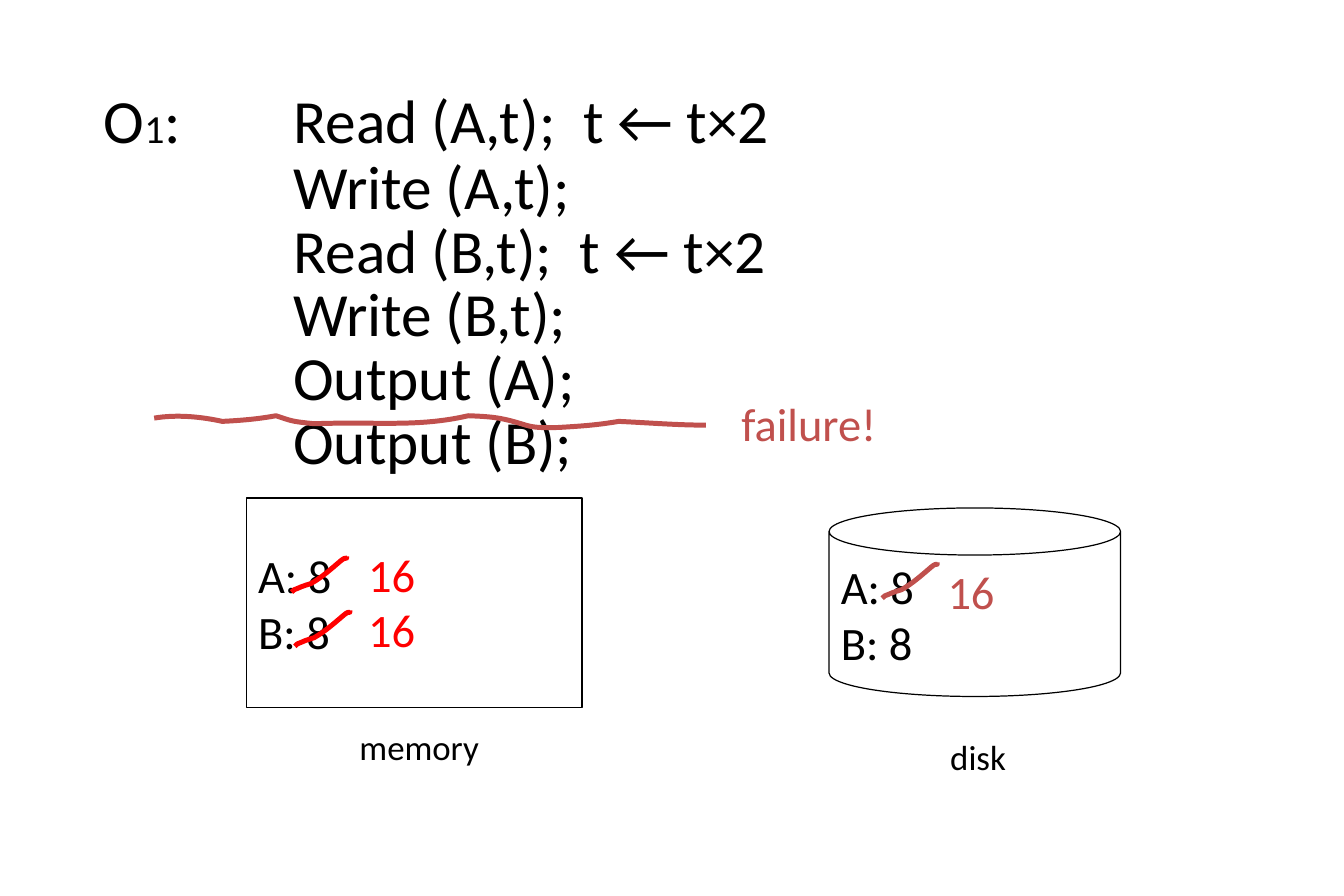
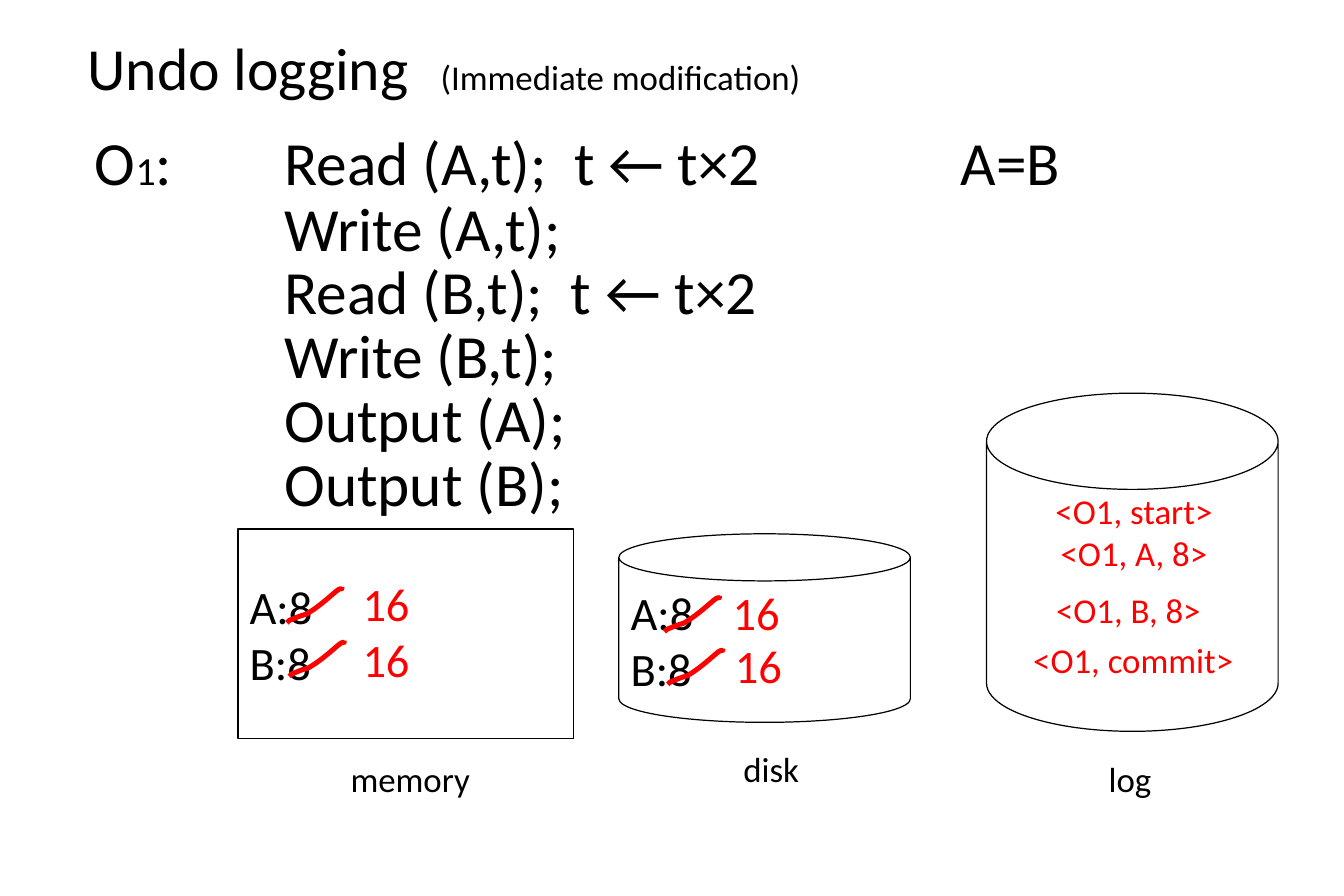
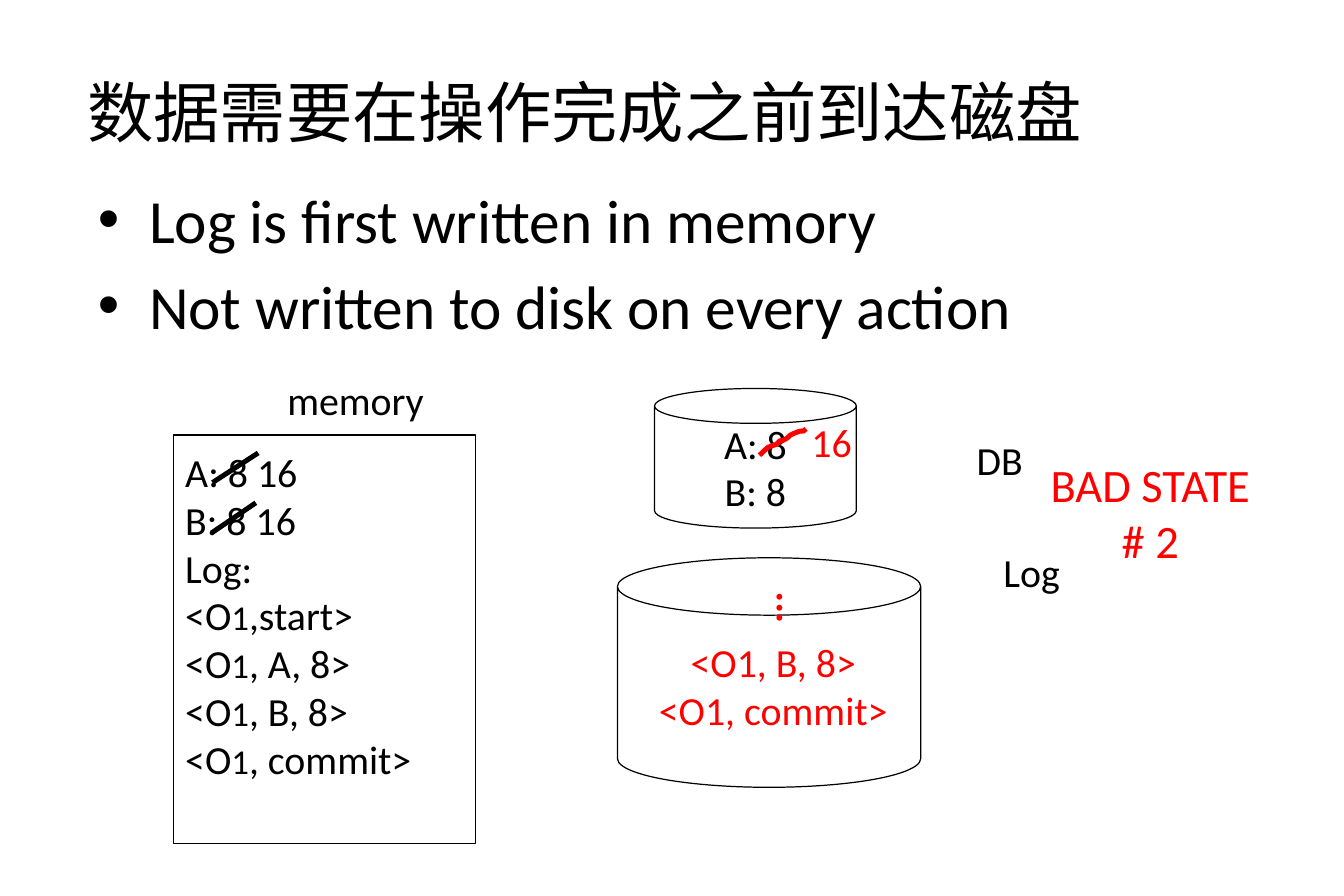
import pptx
import pptx.util
import pptx.dml.color
import pptx.enum.shapes
import pptx.enum.text
import pptx.oxml.ns
from dataclasses import dataclass
from typing import Any
from lxml import etree

Cm = pptx.util.Cm
Pt = pptx.util.Pt
RGB = pptx.dml.color.RGBColor
Kind = pptx.enum.shapes.MSO_SHAPE
Align = pptx.enum.text.PP_ALIGN
Anchor = pptx.enum.text.MSO_ANCHOR
qn = pptx.oxml.ns.qn

BLACK = RGB(0x00, 0x00, 0x00)
WHITE = RGB(0xFF, 0xFF, 0xFF)
RED = RGB(0xFF, 0x00, 0x00)
BRICK = RGB(0xC0, 0x50, 0x4D)

LATIN = "Calibri"
HAN = "Noto Sans CJK SC"
MARK = "~"  # pairs of marks enclose small text

Point = tuple[float, float]


@dataclass
class Look:
    size: float = 28
    color: RGB = BLACK
    align: Any = Align.LEFT
    anchor: Any = Anchor.MIDDLE
    face: str = LATIN
    small: float = 21
    bold: bool = False
    lead: tuple[float, float] = (1, 1)  # first line, other lines
    gaps: tuple[float, ...] = ()  # space before each line
    stops: tuple[float, ...] = ()  # tab stops
    bullet: bool = False
    inset: Point = (0.25, 0.13)


@dataclass
class Box:
    x: float
    y: float
    w: float
    h: float
    lines: tuple[str, ...] = ()
    look: Look = None
    turn: float = 0


@dataclass
class Body(Box):
    kind: Any = Kind.RECTANGLE
    adj: float = 0.25


@dataclass
class Curve:
    x: float
    y: float
    nodes: tuple[Point, ...]
    color: RGB = RED


# Text styles
WIDE = (0.3, 0.15)
CELL = Look()
NAME = Look(21, align=Align.CENTER)
NEW = Look(28, RED, Align.CENTER)
FAIL = Look(28, BRICK, Align.CENTER)
LOG = Look(21, RED, Align.CENTER)
CODE = Look(37, anchor=Anchor.TOP, small=24, lead=(0.8, 0.7),
            gaps=(0,) + (7.4,) * 5, stops=(4.03, 18.41), inset=WIDE)
HEAD = Look(36, stops=(7.51,))
HEAD_HAN = Look(40, face=HAN, inset=WIDE)
BULLET = Look(37, anchor=Anchor.TOP, small=24, gaps=(0, 7.4, 7.4, 4.8, 38.9),
              stops=(4.03, 18.69, 19.26), bullet=True, inset=WIDE)
STATE = Look(24, anchor=Anchor.TOP, inset=(0.25, 0.27))
MID = Look(24, align=Align.CENTER)
MID_RED = Look(24, RED, Align.CENTER)
DOTS = Look(24, RED, Align.CENTER, bold=True)

# Pen strokes: a start, then three points for each cubic curve
STRIKE = ((0, 0.79), (0.03, 0.76), (0.08, 0.71), (0.13, 0.71),
          (0.23, 0.66), (0.41, 0.61), (0.41, 0.61),
          (0.64, 0.48), (0.84, 0.3), (1.04, 0.13),
          (1.19, 0), (1.17, 0.13), (1.17, 0.03))
SCRATCH = ((0, 0.61), (0.25, 0.38), (0.13, 0.46), (0.36, 0.38),
           (0.56, 0.18), (0.3, 0.41), (0.58, 0.25),
           (0.61, 0.23), (0.64, 0.2), (0.66, 0.18),
           (1.04, 0), (0.84, 0.18), (0.99, 0.05))
WAVE = ((0, 0.08), (0.48, 0), (0.99, 0.05), (1.45, 0.15),
        (1.85, 0.13), (2.21, 0.1), (2.59, 0.03),
        (2.95, 0.15), (2.92, 0.15), (3.4, 0.2),
        (4.75, 0.15), (5.59, 0.28), (6.68, 0.03),
        (7.24, 0.05), (7.42, 0.08), (7.9, 0.23),
        (8.13, 0.3), (8.36, 0.28), (8.59, 0.28),
        (9.09, 0.25), (9.4, 0.23), (9.88, 0.15),
        (10.52, 0.18), (11.13, 0.23), (11.73, 0.23))

FIRST = "O~1~:\tRead (A,t);  t ← t×2"
REST = (
    "\tWrite (A,t);",
    "\tRead (B,t);  t ← t×2",
    "\tWrite (B,t);",
    "\tOutput (A);",
    "\tOutput (B);",
)


def apply(item: Any, fmt: dict[str, Any]) -> None:
    for key, val in fmt.items():
        setattr(item, key, val)


def layout(para: Any, look: Look, tabbed: bool) -> None:
    """Give a paragraph its bullet or its tab stops."""
    props = para._p.get_or_add_pPr()
    if look.bullet and not tabbed:
        props.set("marL", str(Cm(1.09)))
        props.set("indent", str(-Cm(1.09)))
        etree.SubElement(props, qn("a:buFont")).set("typeface", "Arial")
        etree.SubElement(props, qn("a:buChar")).set("char", "•")
    elif tabbed:
        stops = etree.SubElement(props, qn("a:tabLst"))
        for pos in look.stops:
            stop = etree.SubElement(stops, qn("a:tab"))
            stop.set("pos", str(Cm(pos)))
            stop.set("algn", "l")


def write(shape: Any, box: Box) -> None:
    """Fill a shape with the lines of a box."""
    look, frame = box.look, shape.text_frame
    side, edge = map(Cm, look.inset)
    apply(frame, {"word_wrap": look.align == Align.LEFT,
                  "vertical_anchor": look.anchor,
                  "margin_left": side, "margin_right": side,
                  "margin_top": edge, "margin_bottom": edge})
    for num, line in enumerate(box.lines):
        para = frame.add_paragraph() if num else frame.paragraphs[0]
        layout(para, look, "\t" in line)
        apply(para, {"alignment": look.align,
                     "line_spacing": look.lead[num > 0],
                     "space_before": Pt(look.gaps[num] if look.gaps else 0)})
        for part, text in enumerate(line.split(MARK)):
            if not text:
                continue
            run = para.add_run()
            run.text = text
            size = look.small if part % 2 else look.size
            apply(run.font, {"size": Pt(size), "name": look.face,
                             "bold": look.bold})
            run.font.color.rgb = look.color
            if look.face == HAN:
                east = etree.SubElement(run._r.get_or_add_rPr(), qn("a:ea"))
                east.set("typeface", HAN)


def label(slide: Any, box: Box) -> None:
    shape = slide.shapes.add_textbox(Cm(box.x), Cm(box.y),
                                     Cm(box.w), Cm(box.h))
    shape.rotation = box.turn
    write(shape, box)


def store(slide: Any, body: Body) -> None:
    """Draw a memory block or a disk."""
    shape = slide.shapes.add_shape(body.kind, Cm(body.x), Cm(body.y),
                                   Cm(body.w), Cm(body.h))
    shape.shadow.inherit = False
    shape.fill.solid()
    shape.fill.fore_color.rgb = WHITE
    shape.line.color.rgb = BLACK
    shape.line.width = Pt(0.75)
    if body.kind == Kind.CAN:
        shape.adjustments[0] = body.adj
    if body.lines:
        write(shape, body)


def stroke(slide: Any, curve: Curve) -> None:
    pts = [(Cm(curve.x + x), Cm(curve.y + y)) for x, y in curve.nodes]
    pen = slide.shapes.build_freeform(*pts[0])
    pen.add_line_segments(pts[1:], close=False)
    shape = pen.convert_to_shape()
    # Join each three straight legs into one cubic curve
    legs = list(shape._element.iter(qn("a:lnTo")))
    for leg, *others in zip(legs[::3], legs[1::3], legs[2::3]):
        leg.tag = qn("a:cubicBezTo")
        for other in others:
            leg.append(other[0])
            other.getparent().remove(other)
    shape.shadow.inherit = False
    shape.fill.background()
    shape.line.color.rgb = curve.color
    shape.line.width = Pt(3)


def slash(slide: Any, start: Point, end: Point) -> None:
    ends = [Cm(val) for val in start + end]
    line = slide.shapes.add_connector(
        pptx.enum.shapes.MSO_CONNECTOR.STRAIGHT, *ends)
    line.line.color.rgb = BLACK
    line.line.width = Pt(3)
    etree.SubElement(line._element.spPr, qn("a:effectLst"))


def draw(slide: Any, parts: list) -> None:
    tools = {Box: label, Body: store, Curve: stroke}
    for part in parts:
        tools[type(part)](slide, part)


def steps(x: float, y: float, tail: str = "") -> Box:
    """Give the operation with its steps."""
    return Box(x, y, 24.28, 14.4, (FIRST + tail, *REST), CODE)


def memory(x: float, y: float, *lines: str) -> Body:
    return Body(x, y, 7.14, 4.45, lines, CELL)


def disk(x: float, y: float, *lines: str) -> Body:
    return Body(x, y, 6.2, 4.01, lines, CELL, kind=Kind.CAN)


def name(x: float, y: float, w: float, text: str) -> Box:
    return Box(x, y, w, 1.14, (text,), NAME)


def value(x: float, y: float, look: Look = NEW, rows: int = 1) -> Box:
    return Box(x, y, 1.52, 1.45 + 1.19 * (rows - 1), ("16",) * rows, look)


def failure(slide: Any) -> None:
    draw(slide, [
        steps(1.91, 1.91),
        memory(5.24, 10.59, "A: 8", "B: 8"),
        disk(17.63, 10.8, "A: 8", "B: 8"),
        name(7.38, 15.3, 3.07, "memory"),
        name(19.95, 15.52, 1.7, "disk"),
        # New values
        Curve(6.2, 11.8, STRIKE),
        Curve(6.27, 12.95, STRIKE),
        value(7.57, 11.47, rows=2),
        Curve(18.76, 11.93, STRIKE, BRICK),
        value(19.89, 11.84, FAIL),
        # Point of failure
        Curve(3.28, 8.81, WAVE, BRICK),
        Box(15.5, 8.27, 3.4, 1.45, ("failure!",), FAIL),
    ])


def undo(slide: Any) -> None:
    draw(slide, [
        steps(1.72, 2.8, "\tA=B"),
        memory(5.06, 11.25, "A:8", "B:8"),
        disk(13.16, 11.35, "A:8", "B:8"),
        name(7.19, 15.98, 3.07, "memory"),
        name(15.55, 15.77, 1.7, "disk"),
        Body(20.98, 8.36, 6.2, 7.19, kind=Kind.CAN, adj=0.33),
        name(23.32, 15.98, 1.42, "log"),
        Box(1.61, 0.51, 16.13, 1.8,
            ("Undo logging\t~(Immediate modification)~",), HEAD),
        # New values
        Curve(6.1, 12.45, STRIKE),
        Curve(6.15, 13.59, STRIKE),
        value(7.45, 12.1, rows=2),
        # Log records
        Box(22.17, 10.28, 3.89, 2.06, ("<O1, start>", "<O1, A, 8>"), LOG),
        Box(21.7, 13.45, 4.8, 1.14, ("<O1, commit>",), LOG),
        # Values on disk
        Curve(14.13, 12.64, STRIKE),
        value(15.32, 12.29),
        Box(22.18, 12.38, 3.63, 1.14, ("<O1, B, 8>",), LOG),
        Curve(14.2, 13.76, STRIKE),
        value(15.37, 13.41),
    ])


def order(slide: Any) -> None:
    draw(slide, [
        Box(1.56, 0.76, 24.28, 3.18,
            ("数据需要在操作完成之前到达磁盘",), HEAD_HAN),
        Box(1.78, 3.72, 24.28, 11.43,
            ("Log is first written in memory",
             "Not written to disk on every action",
             "\t~memory~", "~\t\tDB~", "~\t\t\tLog~"), BULLET),
        Body(3.69, 9.25, 6.43, 8.69,
             ("A: 8 16", "B: 8 16", "Log:", "<O~1~,start>", "<O~1~, A, 8>",
              "<O~1~, B, 8>", "<O~1~, commit>"), STATE),
    ])
    slash(slide, (5.49, 9.63), (4.52, 10.26))
    slash(slide, (5.44, 10.69), (4.5, 11.33))
    draw(slide, [
        Body(13.92, 8.26, 4.29, 2.97, ("A: 8", "B: 8"), MID, kind=Kind.CAN),
        Body(13.13, 11.86, 6.45, 4.88, kind=Kind.CAN),
        # State on disk
        Curve(16.15, 9.07, SCRATCH),
        Box(17, 8.73, 1.37, 1.3, ("16",), MID_RED),
        Box(22.06, 9.56, 4.8, 2.64, ("BAD STATE", "# 2"), NEW),
        Box(13.74, 13.42, 5.41, 2.31, ("<O1, B, 8>", "<O1, commit>"),
            MID_RED),
        Box(15.7, 12.29, 1.19, 1.27, ("...",), DOTS, turn=270),
    ])


def main() -> None:
    deck = pptx.Presentation()
    apply(deck, {"slide_width": Cm(28.58), "slide_height": Cm(19.05)})
    for build in (failure, undo, order):
        build(deck.slides.add_slide(deck.slide_layouts[6]))
    deck.save("out.pptx")


if __name__ == "__main__":
    main()
